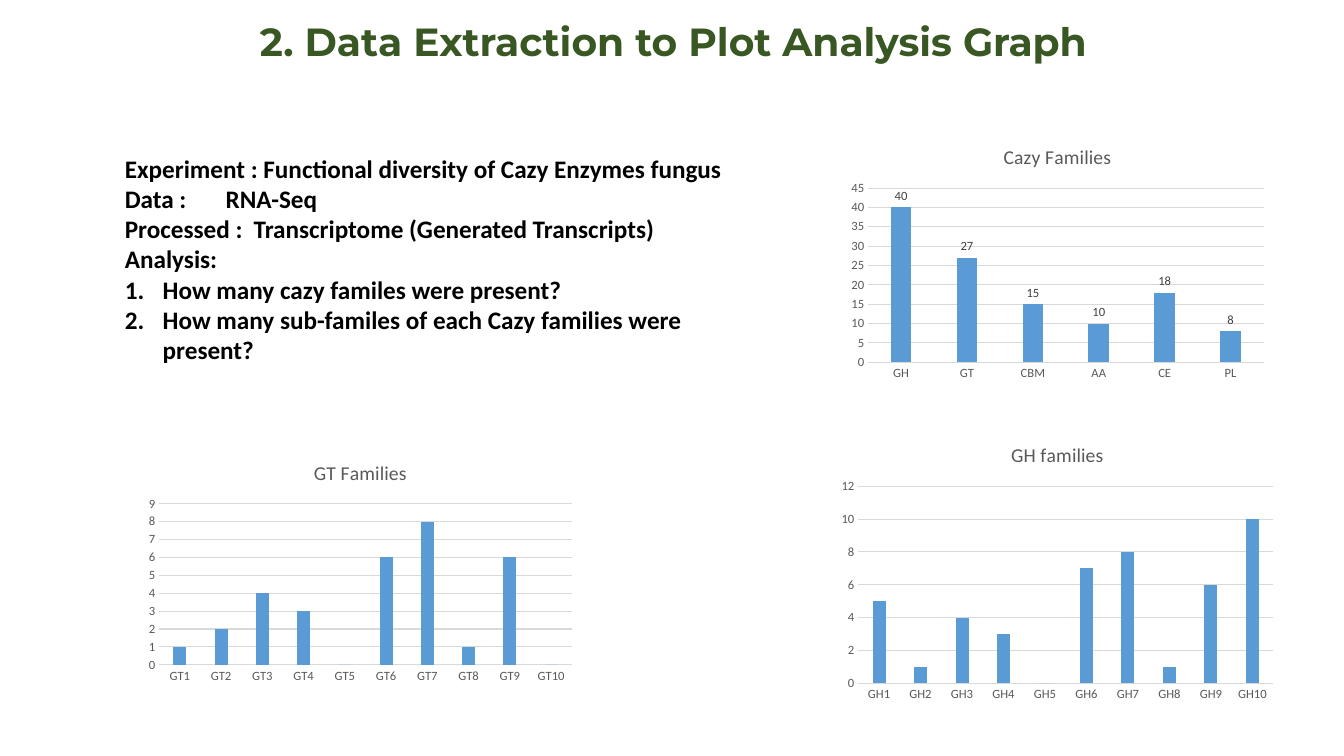
from lxml.etree import SubElement
from pptx import Presentation
from pptx.chart.data import CategoryChartData
from pptx.dml.color import RGBColor
from pptx.enum.chart import XL_CHART_TYPE, XL_LABEL_POSITION, XL_TICK_MARK
from pptx.enum.text import MSO_ANCHOR, PP_ALIGN
from pptx.oxml.ns import qn
from pptx.util import Pt

GREEN = RGBColor(0x38, 0x57, 0x23)
BLACK = RGBColor(0, 0, 0)
BLUE = RGBColor(0x5B, 0x9B, 0xD5)
GREY = RGBColor(0x59, 0x59, 0x59)
DARK_GREY = RGBColor(0x40, 0x40, 0x40)
PALE_GREY = RGBColor(0xD9, 0xD9, 0xD9)

FACTS = [  # text, tab stop in points
    ("Experiment : Functional diversity of Cazy Enzymes fungus", None),
    ("Data :\tRNA-Seq", 72),
    ("Processed :\tTranscriptome (Generated Transcripts)", 92),
    ("Analysis:", None),
]
QUESTIONS = [
    "How many cazy familes were present?",
    "How many sub-familes of each Cazy families were present?",
]
CAZY = dict(zip(["GH", "GT", "CBM", "AA", "CE", "PL"], [40, 27, 15, 10, 18, 8]))
GH_COUNTS = [5, 1, 4, 3, 0, 7, 8, 1, 6, 10]
GT_COUNTS = [1, 2, 4, 3, 0, 6, 8, 1, 6, 0]


def set_font(font, size, color, name="Calibri", bold=False):
    font.size, font.name, font.bold = Pt(size), name, bold
    font.color.rgb = color


def number_families(prefix, counts):
    return {f"{prefix}{i}": count for i, count in enumerate(counts, 1)}


def add_title(page, left, top, width, height):
    box = page.shapes.add_textbox(Pt(left), Pt(top), Pt(width), Pt(height))
    frame = box.text_frame
    frame.word_wrap = True
    frame.vertical_anchor = MSO_ANCHOR.MIDDLE
    para = frame.paragraphs[0]
    para.text = "2. Data Extraction to Plot Analysis Graph"
    para.alignment = PP_ALIGN.CENTER
    para.line_spacing = 0.9
    set_font(para.runs[0].font, 28, GREEN, "Montserrat", True)


def add_tab_stop(para, position):
    tabs = SubElement(para._p.get_or_add_pPr(), qn("a:tabLst"))
    SubElement(tabs, qn("a:tab"), pos=str(Pt(position)), algn="l")


def add_number(para, indent=27):
    properties = para._p.get_or_add_pPr()
    properties.set("marL", str(Pt(indent)))
    properties.set("indent", str(Pt(-indent)))
    SubElement(properties, qn("a:buFont"), typeface="+mj-lt")
    SubElement(properties, qn("a:buAutoNum"), type="arabicPeriod")


def add_experiment(page, left, top, width, height):
    box = page.shapes.add_textbox(Pt(left), Pt(top), Pt(width), Pt(height))
    frame = box.text_frame
    frame.word_wrap = False
    lines = FACTS + [(question, None) for question in QUESTIONS]
    for index, (text, tab_stop) in enumerate(lines):
        para = frame.add_paragraph() if index else frame.paragraphs[0]
        para.text = text
        if tab_stop:
            add_tab_stop(para, tab_stop)
        if text in QUESTIONS:
            add_number(para)
        set_font(para.runs[0].font, 18, BLACK, bold=True)


def style_axes(chart, top_value, step):
    for axis in (chart.category_axis, chart.value_axis):
        axis.major_tick_mark = axis.minor_tick_mark = XL_TICK_MARK.NONE
        set_font(axis.tick_labels.font, 9, GREY)
    line = chart.category_axis.format.line
    line.color.rgb, line.width = PALE_GREY, Pt(0.75)
    values = chart.value_axis
    values.minimum_scale, values.maximum_scale = 0, top_value
    values.major_unit = step
    values.format.line.fill.background()
    grid = values.major_gridlines.format.line
    grid.color.rgb, grid.width = PALE_GREY, Pt(0.75)


def add_family_chart(page, left, top, width, height, title, counts,
                     top_value, step, labelled=False):
    data = CategoryChartData()
    data.categories = list(counts)
    data.add_series("Series 1", list(counts.values()))
    chart = page.shapes.add_chart(XL_CHART_TYPE.COLUMN_CLUSTERED, Pt(left), Pt(top),
                                  Pt(width), Pt(height), data).chart
    set_font(chart.font, 10, BLACK)
    chart.has_legend = False
    chart.has_title = True
    chart.chart_title.include_in_layout = False
    para = chart.chart_title.text_frame.paragraphs[0]
    para.text = title
    set_font(para.runs[0].font, 14, GREY)
    style_axes(chart, top_value, step)
    plot = chart.plots[0]
    plot.gap_width, plot.overlap = 219, -27
    plot.vary_by_categories = False
    fill = plot.series[0].format.fill
    fill.solid()
    fill.fore_color.rgb = BLUE
    if labelled:
        labels = plot.series[0].data_labels
        labels.show_value = True
        labels.position = XL_LABEL_POSITION.OUTSIDE_END
        set_font(labels.font, 9, DARK_GREY)


def main():
    deck = Presentation()
    deck.slide_width, deck.slide_height = Pt(960), Pt(540)
    page = deck.slides.add_slide(deck.slide_layouts[6])
    add_title(page, 67, 0, 828, 62.6)
    add_family_chart(page, 602, 92.2, 306.7, 183.6, "Cazy Families", CAZY, 45, 5, True)
    add_family_chart(page, 594.7, 304.6, 321.1, 200.9, "GH families",
                     number_families("GH", GH_COUNTS), 12, 2)
    add_family_chart(page, 100.1, 318.2, 314.6, 173.5, "GT Families",
                     number_families("GT", GT_COUNTS), 9, 1)
    add_experiment(page, 82.1, 105.8, 481, 138.2)
    deck.save("out.pptx")


if __name__ == "__main__":
    main()
